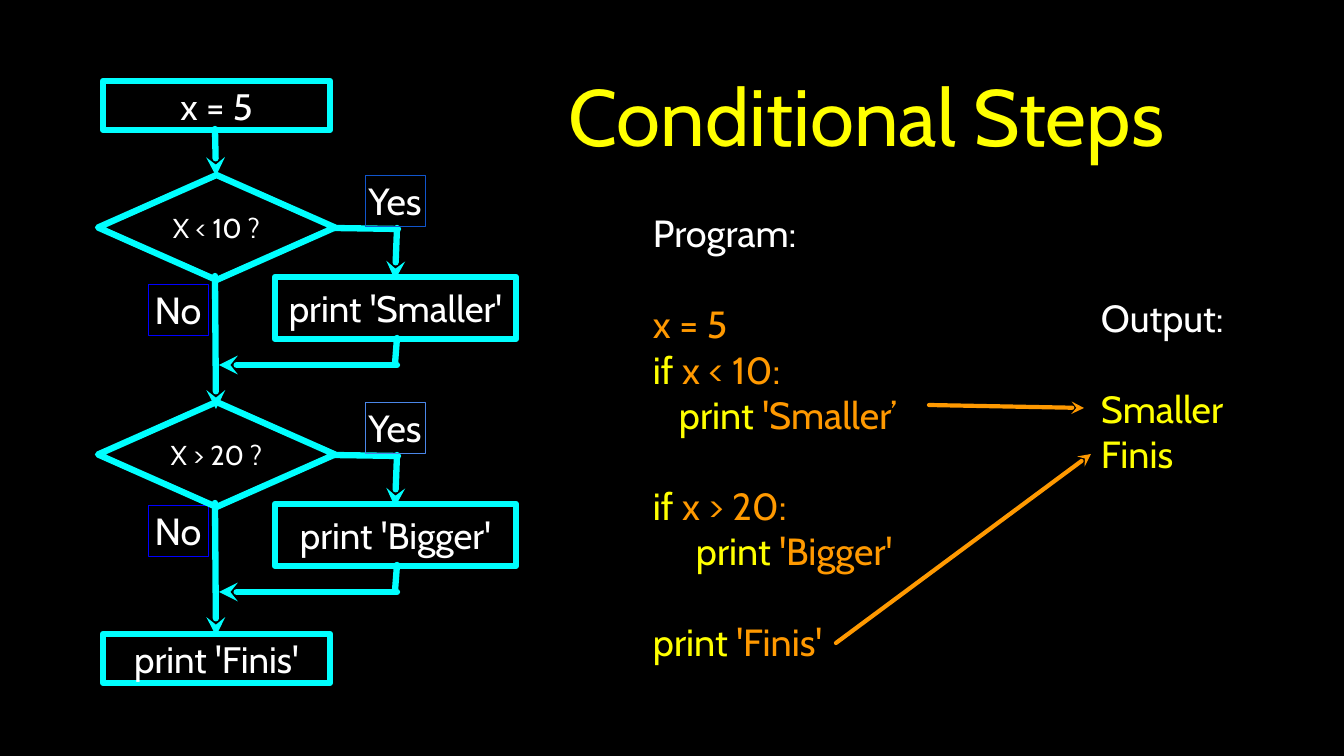
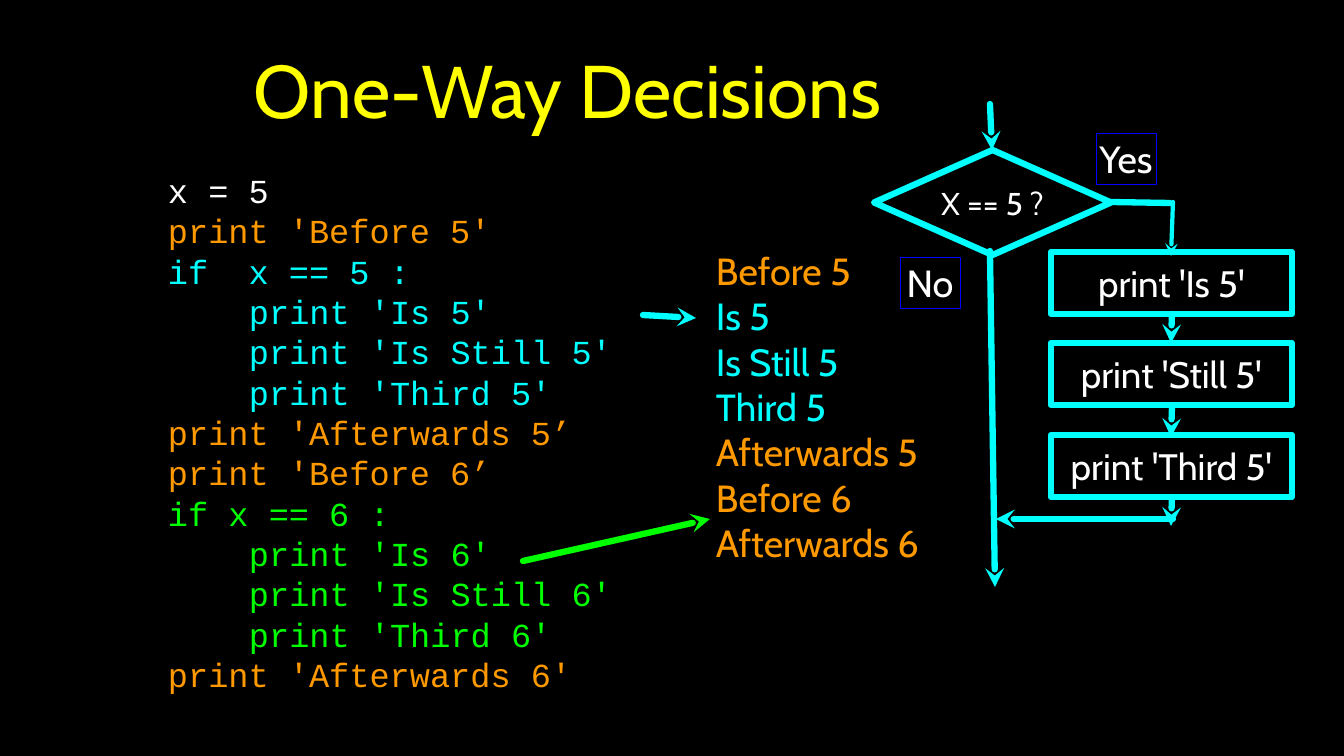
"""Builds two slides on conditional steps: flowcharts beside code and its output."""
from dataclasses import dataclass

from pptx import Presentation
from pptx import util as u
from pptx.dml import color
from pptx.enum import shapes, text
from pptx.oxml import ns
from lxml import etree

EMU_PER_PIXEL = 914400 / 75.6
WIDTH, HEIGHT = 1344, 756
SANS, MONO = "Cabin", "Courier New"
BLACK, WHITE, YELLOW = "000000", "FFFFFF", "FFFF00"
CYAN, ORANGE, GREEN, BLUE = "00FFFF", "FF9900", "00FF00", "0000FF"
RECTANGLE = shapes.MSO_SHAPE.RECTANGLE
DIAMOND = shapes.MSO_SHAPE.DIAMOND
BLANK_LINE = 43.2
TITLE_INSET = 3


@dataclass(frozen=True)
class Area:
    """A rectangle on the slide, in pixels."""
    left: int
    top: int
    width: int
    height: int


@dataclass(frozen=True)
class Node:
    """A flowchart step, decision or branch label."""
    caption: str
    area: Area
    size: float = 35
    outline: str = CYAN
    weight: float = 6
    kind: int = RECTANGLE


@dataclass(frozen=True)
class Link:
    """A straight flow line from one point to another, in pixels."""
    start: tuple[int, int]
    end: tuple[int, int]
    arrow: bool = True
    stroke: str = CYAN
    weight: float = 6


@dataclass(frozen=True)
class Line:
    """A line of code or output: (text, colour) pieces, indent, space before."""
    pieces: tuple[tuple[str, str], ...]
    indent: int = 0
    before: float = 0


def px(pixels: float) -> int:
    """Turn pixels into EMU."""
    return round(pixels * EMU_PER_PIXEL)


def rgb(value: str) -> color.RGBColor:
    """Turn a hex string into a colour."""
    return color.RGBColor.from_string(value)


def format_font(font, face: str, size: float, value: str) -> None:
    """Set face, size and colour of a font."""
    font.name = face
    font.size = u.Pt(size)
    font.color.rgb = rgb(value)


def format_frame(frame, inset: int = 0) -> None:
    """Wrap the text, centre it vertically and set equal margins."""
    frame.word_wrap = True
    frame.auto_size = text.MSO_AUTO_SIZE.NONE
    frame.vertical_anchor = text.MSO_ANCHOR.MIDDLE
    frame.margin_left = frame.margin_right = px(inset)
    frame.margin_top = frame.margin_bottom = px(inset)


def write_centred(frame, caption: str, size: float, value: str) -> None:
    """Put one centred caption in a frame."""
    frame.text = caption
    paragraph = frame.paragraphs[0]
    paragraph.alignment = text.PP_ALIGN.CENTER
    format_font(paragraph.runs[0].font, SANS, size, value)


def format_line(line, stroke: str, weight: float, arrow: bool = False) -> None:
    """Set colour and weight, with round joins and an optional arrowhead."""
    line.color.rgb = rgb(stroke)
    line.width = u.Pt(weight)
    outline = line._get_or_add_ln()
    outline.set("cap", "rnd")
    etree.SubElement(outline, ns.qn("a:round"))
    if arrow:
        etree.SubElement(outline, ns.qn("a:tailEnd"), type="stealth")


def draw_node(slide, node: Node) -> None:
    """Draw an unfilled, outlined shape with its caption."""
    area = node.area
    shape = slide.shapes.add_shape(node.kind, px(area.left), px(area.top),
                                   px(area.width), px(area.height))
    shape.shadow.inherit = False
    shape.fill.background()
    format_line(shape.line, node.outline, node.weight)
    format_frame(shape.text_frame)
    write_centred(shape.text_frame, node.caption, node.size, WHITE)


def draw_link(slide, link: Link) -> None:
    """Draw a flow line, with an arrowhead at its end if asked."""
    connector = slide.shapes.add_connector(
        shapes.MSO_CONNECTOR.STRAIGHT, *map(px, link.start + link.end))
    format_line(connector.line, link.stroke, link.weight, link.arrow)
    etree.SubElement(connector._element.spPr, ns.qn("a:effectLst"))


def draw_lines(slide, area: Area, lines: list[Line], face: str, size: float) -> None:
    """Draw a left-aligned block of coloured lines."""
    box = slide.shapes.add_textbox(px(area.left), px(area.top),
                                   px(area.width), px(area.height))
    frame = box.text_frame
    format_frame(frame)
    for index, line in enumerate(lines):
        paragraph = frame.add_paragraph() if index else frame.paragraphs[0]
        paragraph.alignment = text.PP_ALIGN.LEFT
        paragraph.space_before = u.Pt(line.before)
        if line.indent:
            properties = paragraph._p.get_or_add_pPr()
            properties.set("marL", str(px(line.indent)))
            properties.set("indent", "0")
        for words, value in line.pieces:
            run = paragraph.add_run()
            run.text = words
            format_font(run.font, face, size, value)


def plain(words: str, value: str, indent: int = 0, before: float = 0) -> Line:
    """Make a line in one colour."""
    return Line(((words, value),), indent, before)


def code(keyword: str, rest: str, indent: int = 0, before: float = 0) -> Line:
    """Make a line with a yellow keyword and orange remainder."""
    return Line(((keyword, YELLOW), (rest, ORANGE)), indent, before)


def step(caption: str, top: int) -> Node:
    """Make a step on the main path."""
    return Node(caption, Area(103, top, 227, 49))


def action(caption: str, left: int, top: int) -> Node:
    """Make a step on the Yes branch."""
    return Node(caption, Area(left, top, 241, 62))


def decision(caption: str, left: int, top: int, size: float) -> Node:
    """Make a decision diamond."""
    return Node(caption, Area(left, top, 237, 105), size, kind=DIAMOND)


def label(caption: str, left: int, top: int, outline: str = BLUE) -> Node:
    """Make a thinly framed branch label."""
    return Node(caption, Area(left, top, 60, 51), 36, outline, 0.75)


def add_titled_slide(deck, title: str, area: Area, size: float):
    """Add a slide and set its title placeholder."""
    slide = deck.slides.add_slide(deck.slide_layouts[5])
    heading = slide.shapes.title
    heading.left, heading.top = px(area.left), px(area.top)
    heading.width, heading.height = px(area.width), px(area.height)
    format_frame(heading.text_frame, TITLE_INSET)
    write_centred(heading.text_frame, title, size, YELLOW)
    return slide


def draw_chart(slide, nodes: list[Node], links: list[Link]) -> None:
    """Draw the links of a flowchart, then its nodes."""
    for link in links:
        draw_link(slide, link)
    for node in nodes:
        draw_node(slide, node)


def branch_links(top: int) -> list[Link]:
    """Make the Yes and No routes around a decision whose tip is at top."""
    return [
        Link((215, top + 101), (216, top + 234)),
        Link((334, top + 53), (398, top + 54), arrow=False),
        Link((397, top + 53), (395, top + 105)),
        Link((397, top + 163), (395, top + 189), arrow=False),
        Link((397, top + 190), (219, top + 190)),
    ]


def build_conditional_steps(deck) -> None:
    """Build the slide with two decisions in sequence."""
    slide = add_titled_slide(deck, "Conditional Steps", Area(486, 20, 761, 190), 76)
    draw_lines(slide, Area(1101, 295, 131, 181), [
        plain("Output:", WHITE),
        plain("Smaller", YELLOW, before=BLANK_LINE),
        plain("Finis", YELLOW),
    ], SANS, 36)
    draw_lines(slide, Area(653, 208, 250, 458), [
        plain("Program:", WHITE),
        plain("x = 5", ORANGE, before=BLANK_LINE),
        code("if ", "x < 10:"),
        code("print ", "'Smaller’", indent=26),
        code("if ", "x > 20:", before=BLANK_LINE),
        code("print ", "'Bigger'", indent=43),
        code("print ", "'Finis'", before=BLANK_LINE),
    ], SANS, 36)
    nodes = [step("x = 5", 81), step("print 'Finis'", 634),
             label("No", 148, 284), label("No", 148, 505)]
    links = [Link((215, 129), (216, 176)),
             Link((929, 405), (1084, 408), stroke=ORANGE, weight=4),
             Link((836, 643), (1091, 454), stroke=ORANGE, weight=4)]
    for top, question, answer, frame in (
            (175, "X < 10 ?", "print 'Smaller'", "1155CC"),
            (402, "X > 20 ?", "print 'Bigger'", "4A86E8")):
        nodes += [decision(question, 98, top, 26), action(answer, 275, top + 102),
                  label("Yes", 365, top, frame)]
        links += branch_links(top)
    draw_chart(slide, nodes, links)


def build_one_way_decisions(deck) -> None:
    """Build the slide with one decision and a chain of actions."""
    slide = add_titled_slide(deck, "One-Way Decisions", Area(175, 15, 785, 148), 71)
    draw_lines(slide, Area(168, 134, 473, 596), [
        plain("x = 5", WHITE),
        plain("print 'Before 5'", ORANGE),
        plain("if  x == 5 :", CYAN),
        *(plain(f"print '{words} 5'", CYAN, 81) for words in ("Is", "Is Still", "Third")),
        plain("print 'Afterwards 5’", ORANGE),
        plain("print 'Before 6’", ORANGE),
        plain("if x == 6 :", GREEN),
        *(plain(f"print '{words} 6'", GREEN, 81) for words in ("Is", "Is Still", "Third")),
        plain("print 'Afterwards 6'", ORANGE),
    ], MONO, 32)
    draw_lines(slide, Area(716, 246, 206, 321), [
        plain("Before 5", ORANGE),
        *(plain(f"{words} 5", CYAN) for words in ("Is", "Is Still", "Third")),
        *(plain(words, ORANGE) for words in ("Afterwards 5", "Before 6", "Afterwards 6")),
    ], SANS, 36)
    nodes = [decision("X == 5 ?", 874, 150, 30),
             label("Yes", 1096, 133), label("No", 900, 257)]
    links = [
        Link((643, 315), (696, 318)),
        Link((523, 561), (710, 519), stroke=GREEN),
        Link((990, 104), (992, 150)),
        Link((990, 251), (995, 587)),
        Link((1110, 202), (1170, 203), arrow=False),
        Link((1173, 202), (1171, 256), weight=4),
        Link((1173, 519), (996, 519)),
    ]
    for words, top, exit_top in (("Is", 252, 314), ("Still", 343, 408), ("Third", 435, 497)):
        nodes.append(action(f"print '{words} 5'", 1051, top))
        links.append(Link((1172, exit_top), (1171, exit_top + 29)))
    draw_chart(slide, nodes, links)


def main() -> None:
    """Build and save the deck."""
    deck = Presentation()
    deck.slide_width, deck.slide_height = px(WIDTH), px(HEIGHT)
    backdrop = deck.slide_master.background.fill
    backdrop.solid()
    backdrop.fore_color.rgb = rgb(BLACK)
    build_conditional_steps(deck)
    build_one_way_decisions(deck)
    deck.save("out.pptx")


main()
